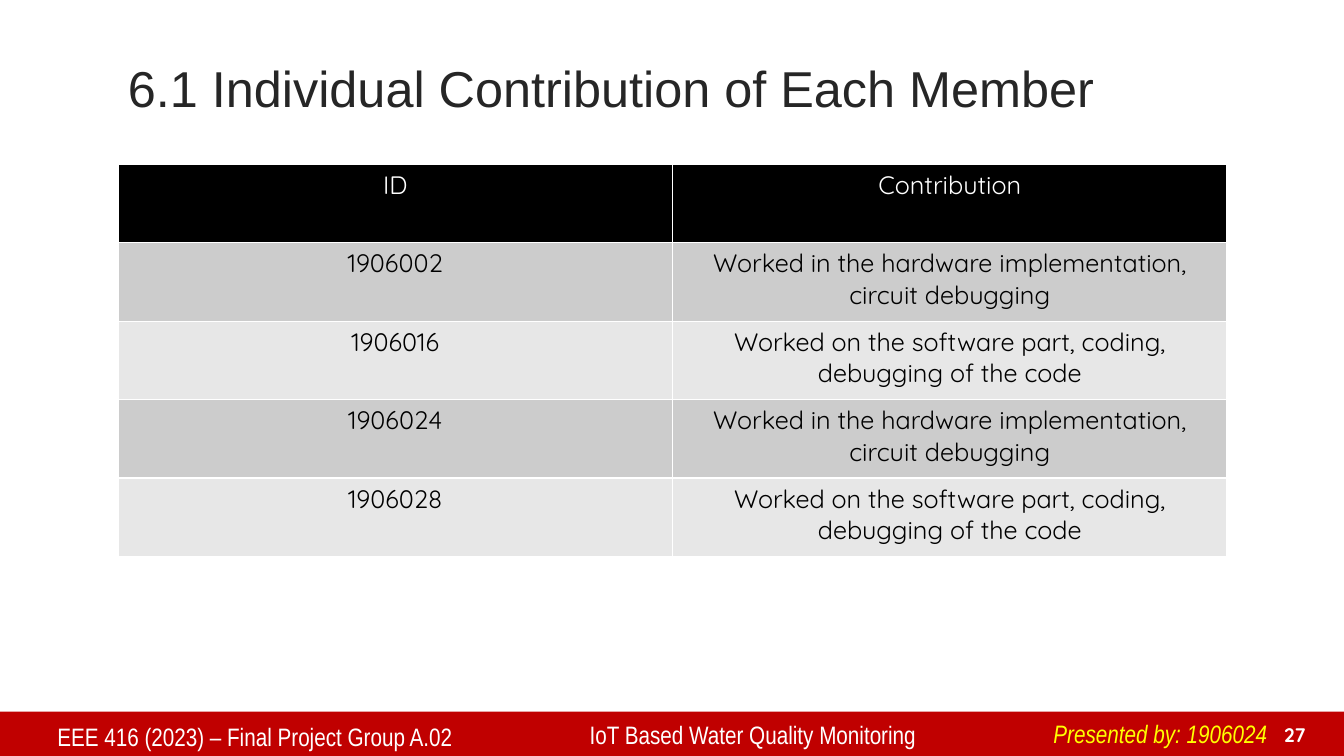
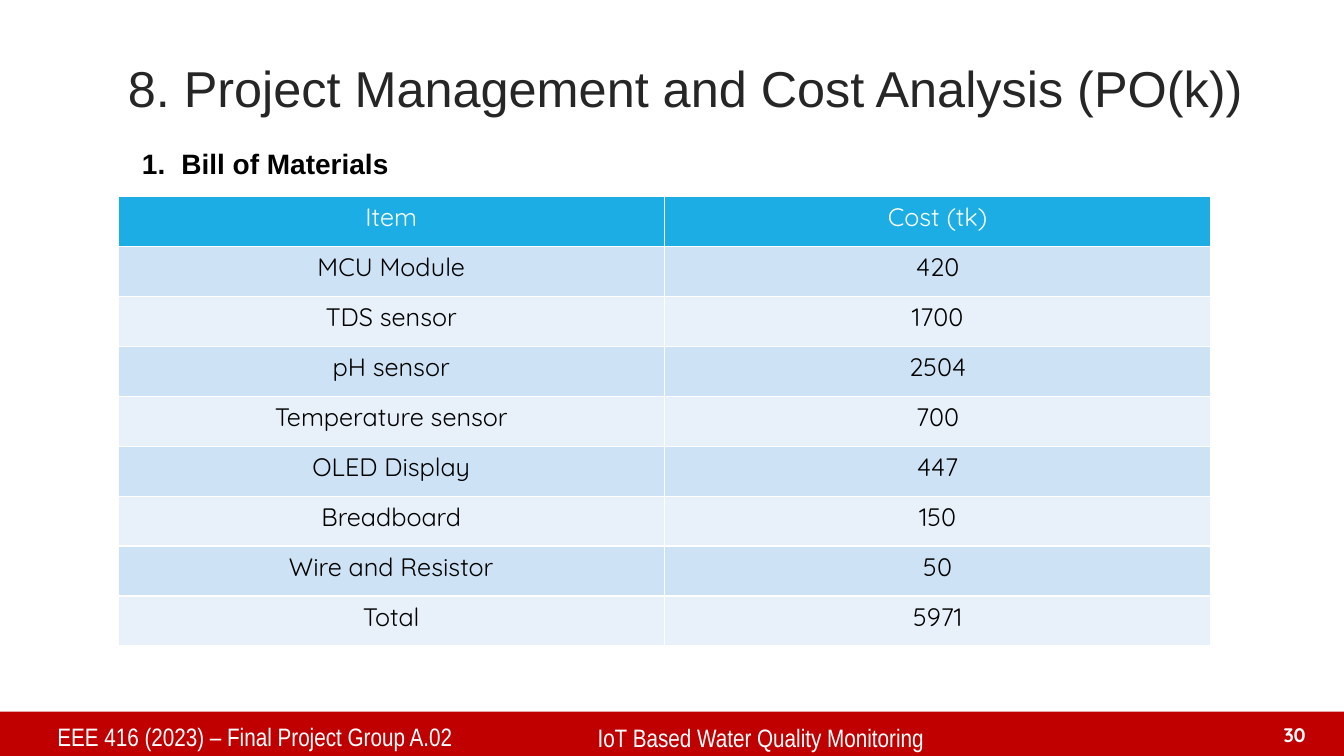
import pptx
import pptx.dml.color
import pptx.enum.shapes
import pptx.enum.text
import pptx.oxml
import pptx.oxml.ns
import pptx.util

Inches = pptx.util.Inches
Pt = pptx.util.Pt
RGBColor = pptx.dml.color.RGBColor
ALIGN = pptx.enum.text.PP_ALIGN
ANCHOR = pptx.enum.text.MSO_ANCHOR

WHITE = RGBColor(0xFF, 0xFF, 0xFF)
BLACK = RGBColor(0x00, 0x00, 0x00)
TITLE_GRAY = RGBColor(0x26, 0x26, 0x26)
BAND_RED = RGBColor(0xC0, 0x00, 0x00)
YELLOW = RGBColor(0xFF, 0xFF, 0x00)
DARK_GRAY = RGBColor(0xCC, 0xCC, 0xCC)
LIGHT_GRAY = RGBColor(0xE7, 0xE7, 0xE7)
HEADER_BLUE = RGBColor(0x1C, 0xAD, 0xE4)
MID_BLUE = RGBColor(0xCD, 0xE3, 0xF5)
PALE_BLUE = RGBColor(0xE8, 0xF1, 0xFA)

TITLE_FONT = "Arial"
FOOTER_FONT = "Arial Narrow"
TABLE_FONT = "Quicksand"

SLIDE_WIDTH, SLIDE_HEIGHT = 13.33, 7.5
LEFT_MARGIN = 1.17
COURSE = "EEE 416 (2023) – Final Project Group A.02"
PROJECT = "IoT Based Water Quality Monitoring"

HARDWARE = "Worked in the hardware implementation, circuit debugging"
SOFTWARE = "Worked on the software part, coding, debugging of the code"

CONTRIBUTIONS = [
    ("ID", "Contribution"),
    ("1906002", HARDWARE),
    ("1906016", SOFTWARE),
    ("1906024", HARDWARE),
    ("1906028", SOFTWARE),
]
MATERIALS = [
    ("Item", "Cost (tk)"),
    ("MCU Module", "420"),
    ("TDS sensor", "1700"),
    ("pH sensor", "2504"),
    ("Temperature sensor", "700"),
    ("OLED Display", "447"),
    ("Breadboard", "150"),
    ("Wire and Resistor", "50"),
    ("Total", "5971"),
]


def write(text_frame, text, size=18, font=FOOTER_FONT, color=WHITE, bold=False,
          italic=False, align=ALIGN.LEFT, line_spacing=None):
    paragraph = text_frame.paragraphs[0]
    paragraph.alignment = align
    paragraph.line_spacing = line_spacing
    run = paragraph.add_run()
    run.text = text
    run.font.size = Pt(size)
    run.font.name = font
    run.font.color.rgb = color
    run.font.bold = bold
    run.font.italic = italic
    return paragraph


def add_text(slide, box, text, anchor=ANCHOR.TOP, **text_format):
    shape = slide.shapes.add_textbox(*map(Inches, box))
    shape.text_frame.word_wrap = True
    shape.text_frame.vertical_anchor = anchor
    return write(shape.text_frame, text, **text_format)


def add_base_slide(presentation, title, title_width, number, project_box, project_align):
    """Add a slide with its title, red band and footer texts."""
    slide = presentation.slides.add_slide(presentation.slide_layouts[6])
    band = slide.shapes.add_shape(pptx.enum.shapes.MSO_SHAPE.RECTANGLE, 0, Inches(7.06),
                                  Inches(SLIDE_WIDTH), Inches(0.45))
    band.shadow.inherit = False
    band.fill.solid()
    band.fill.fore_color.rgb = BAND_RED
    band.line.fill.background()

    add_text(slide, (LEFT_MARGIN, 0.51, title_width, 0.8), title, anchor=ANCHOR.MIDDLE,
             size=36, font=TITLE_FONT, color=TITLE_GRAY, line_spacing=0.9)
    add_text(slide, (0.47, 7.11, 4.34, 0.41), COURSE)
    add_text(slide, project_box, PROJECT, align=project_align)
    add_text(slide, (12.48, 7.11, 0.57, 0.34), str(number), anchor=ANCHOR.BOTTOM,
             size=14, font=TABLE_FONT, bold=True, align=ALIGN.RIGHT)
    return slide


def set_borders(cell):
    """Draw a white 1 pt border on each side."""
    properties = cell._tc.get_or_add_tcPr()
    for position, tag in enumerate(("lnL", "lnR", "lnT", "lnB")):
        line = pptx.oxml.parse_xml(
            f'<a:{tag} {pptx.oxml.ns.nsdecls("a")} w="{Pt(1)}">'
            f'<a:solidFill><a:srgbClr val="{WHITE}"/></a:solidFill></a:{tag}>')
        properties.insert(position, line)


def add_banded_table(slide, rows, box, header_fill, band_fills):
    frame = slide.shapes.add_table(len(rows), len(rows[0]), *map(Inches, box))
    for row_index, row in enumerate(rows):
        is_header = row_index == 0
        fill = header_fill if is_header else band_fills[(row_index - 1) % 2]
        for column_index, text in enumerate(row):
            cell = frame.table.cell(row_index, column_index)
            cell.fill.solid()
            cell.fill.fore_color.rgb = fill
            set_borders(cell)
            write(cell.text_frame, text, font=TABLE_FONT, align=ALIGN.CENTER,
                  color=WHITE if is_header else BLACK)


def number_paragraph(paragraph, margin, indent):
    """Turn a paragraph into an item of an automatic 1. 2. 3. list."""
    properties = paragraph._p.get_or_add_pPr()
    properties.set("marL", str(Inches(margin)))
    properties.set("indent", str(Inches(indent)))
    properties.append(pptx.oxml.parse_xml(
        f'<a:buFont {pptx.oxml.ns.nsdecls("a")} typeface="+mj-lt"/>'))
    properties.append(pptx.oxml.parse_xml(
        f'<a:buAutoNum {pptx.oxml.ns.nsdecls("a")} type="arabicPeriod"/>'))


def add_contribution_slide(presentation):
    slide = add_base_slide(presentation, "6.1 Individual Contribution of Each Member", 11, 27,
                           (5.75, 7.09, 4.6, 0.41), ALIGN.LEFT)
    add_text(slide, (10.35, 7.08, 2.42, 0.4), "Presented by: 1906024",
             color=YELLOW, italic=True)
    add_banded_table(slide, CONTRIBUTIONS, (LEFT_MARGIN, 1.63, 11, 3.89),
                     BLACK, (DARK_GRAY, LIGHT_GRAY))


def add_cost_slide(presentation):
    slide = add_base_slide(presentation, "8. Project Management and Cost Analysis (PO(k))",
                           11.48, 30, (4.81, 7.12, 5.47, 0.41), ALIGN.CENTER)
    add_banded_table(slide, MATERIALS, (LEFT_MARGIN, 1.95, 10.84, 4.46),
                     HEADER_BLUE, (MID_BLUE, PALE_BLUE))
    heading = add_text(slide, (0.81, 1.38, 3.66, 0.44), "Bill of Materials", size=20,
                       font=TITLE_FONT, color=BLACK, bold=True, line_spacing=1.07)
    number_paragraph(heading, margin=0.89, indent=-0.39)


def main():
    presentation = pptx.Presentation()
    presentation.slide_width = Inches(SLIDE_WIDTH)
    presentation.slide_height = Inches(SLIDE_HEIGHT)
    add_contribution_slide(presentation)
    add_cost_slide(presentation)
    presentation.save("out.pptx")


if __name__ == "__main__":
    main()
